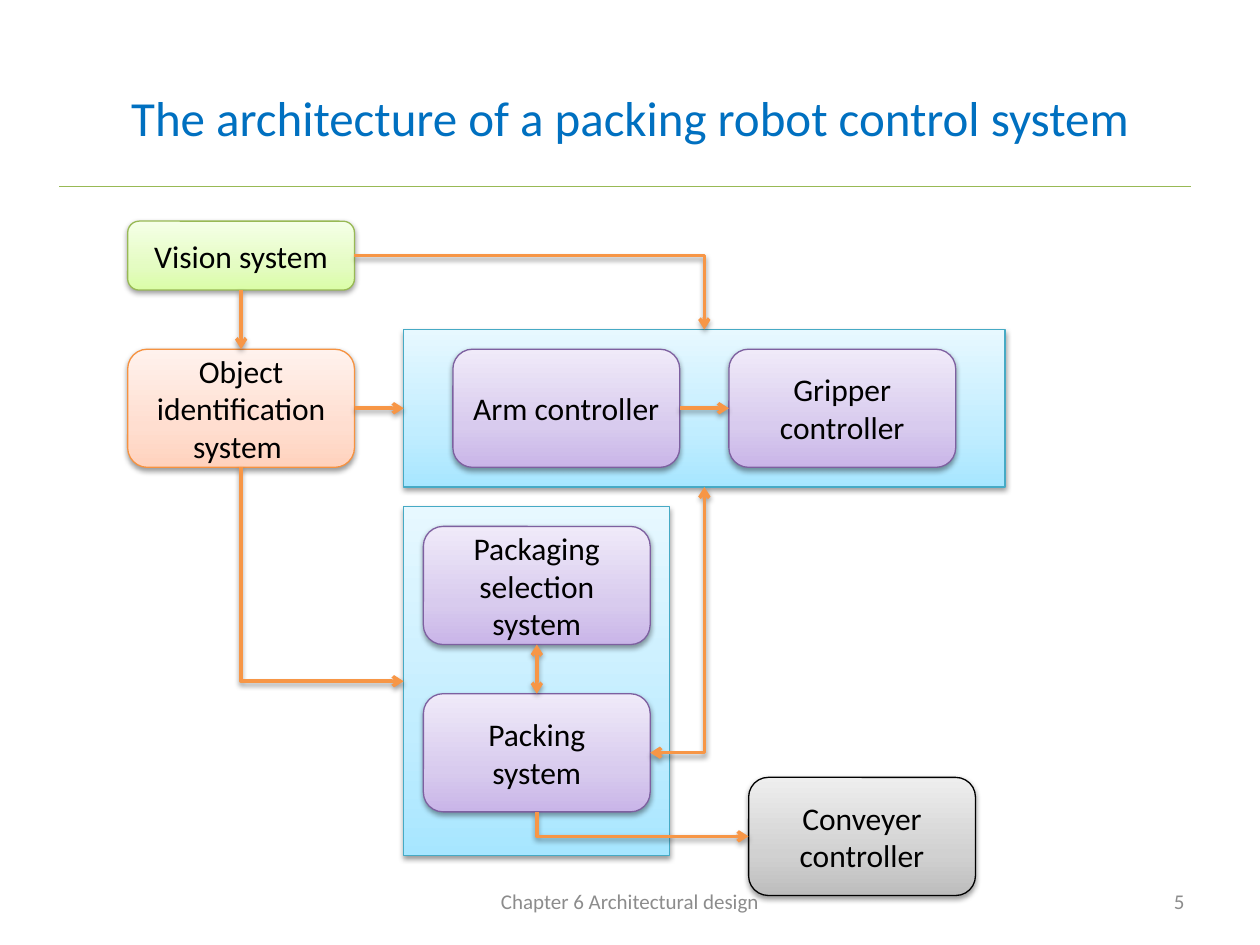
from collections import namedtuple
from copy import deepcopy
from dataclasses import dataclass
from lxml.etree import SubElement
from pptx import Presentation
from pptx.dml.color import RGBColor as Rgb
from pptx.enum.shapes import MSO_CONNECTOR as Link, MSO_SHAPE as Form
from pptx.enum.text import MSO_ANCHOR as Anchor, PP_ALIGN as Align
from pptx.oxml.ns import qn
from pptx.util import Pt

Box = namedtuple("Box", "x y w h")


@dataclass(frozen=True)
class Theme:
    font: str = "Calibri"
    head: int = 28
    body: int = 18
    note: int = 12
    title: str = "0070C0"
    ink: str = "000000"
    grey: str = "8C8C8C"
    rule: str = "98B955"
    link: str = "F79646"
    blue: tuple = ("46AAC5", "A7E6FF", "C1EDFF", "E7F8FF")
    peach: tuple = ("F69240", "FFD2BD", "FFDED0", "FFF2ED")
    plum: tuple = ("7D60A0", "C9B5E8", "D8CBEE", "F0EAF9")
    green: tuple = ("98B955", "DAFDA7", "E4FCC2", "F5FFE7")
    steel: tuple = ("000000", "BDBDBD", "D1D1D1", "EEEEEE")


THEME = Theme()


def write(frame, text, size, color, align=Align.CENTER):
    frame.text = text
    frame.word_wrap = True
    frame.vertical_anchor = Anchor.MIDDLE
    para = frame.paragraphs[0]
    para.alignment = align
    font = para.runs[0].font
    font.name, font.size = THEME.font, Pt(size)
    font.color.rgb = Rgb.from_string(color)


def label(slide, box, *style):
    write(slide.shapes.add_textbox(*map(Pt, box)).text_frame, *style)


def shade(effect):
    shadow = SubElement(effect, qn("a:outerShdw"), blurRad=str(Pt(3.15)),
                        dist=str(Pt(1.57)), dir="5400000", rotWithShape="0")
    color = SubElement(shadow, qn("a:srgbClr"), val=THEME.ink)
    SubElement(color, qn("a:alpha"), val="38000")


def block(slide, form, box, tint, text=""):
    shape = slide.shapes.add_shape(form, *map(Pt, box))
    edge, *tones = tint
    fill = shape.fill
    fill.gradient()
    fill.gradient_angle = 90
    stops = shape.element.spPr.find(".//" + qn("a:gsLst"))
    stops.insert(1, deepcopy(stops[0]))
    for stop, place, tone in zip(fill.gradient_stops, (0, 0.35, 1), tones):
        stop.position = place
        stop.color.rgb = Rgb.from_string(tone)
    shape.line.color.rgb = Rgb.from_string(edge)
    shape.line.width = Pt(0.75)
    shape.shadow.inherit = False
    shade(shape.element.spPr.find(qn("a:effectLst")))
    if text:
        write(shape.text_frame, text, THEME.body, THEME.ink)
    return shape


def stroke(slide, kind, ends, color, width, tips=()):
    line = slide.shapes.add_connector(kind, *ends)
    line.line.color.rgb = Rgb.from_string(color)
    line.line.width = Pt(width)
    props = line.element.spPr
    for tip in tips:
        SubElement(props.find(qn("a:ln")), qn(f"a:{tip}End"), type="arrow")
    effect = SubElement(props, qn("a:effectLst"))
    if tips:
        shade(effect)
    return line


def port(shape, side):
    x = shape.left + shape.width * (1, 0, 1, 2)[side] // 2
    y = shape.top + shape.height * (0, 1, 2, 1)[side] // 2
    return x, y


def join(slide, start, out, end, into, tips=("tail",)):
    ends = port(start, out) + port(end, into)
    line = stroke(slide, Link.STRAIGHT, ends, THEME.link, 2, tips)
    line.begin_connect(start, out)
    line.end_connect(end, into)


def bend(slide, start, out, end, into, tips):
    ends = port(start, out) + port(end, into)
    line = stroke(slide, Link.ELBOW, ends, THEME.link, 2, tips)
    line.element.spPr.find(qn("a:prstGeom")).set("prst", "bentConnector2")


def heading(slide, box):
    ends = [Pt(v) for v in (box.x - 2, box.y + 85, box.x + 644.5, box.y + 85)]
    stroke(slide, Link.STRAIGHT, ends, THEME.rule, 0.75)
    label(slide, box, "The architecture of a packing robot control system",
          THEME.head, THEME.title)


def footer(slide, box):
    mid, end = 228, 168
    label(slide, Box(box.x + (box.w - mid) / 2, box.y, mid, box.h),
          "Chapter 6 Architectural design", THEME.note, THEME.grey)
    label(slide, Box(box.x + box.w - end, box.y, end, box.h),
          "5", THEME.note, THEME.grey, Align.RIGHT)


def diagram(slide, box):
    wide, tall, low = 129.6, 67.5, 39.4
    pad, gap = 11.25, 28.12
    row = box.y + low + 3 * pad
    col = box.x + wide + gap
    deck = Box(col, row - pad, 2 * wide + 3 * gap, tall + 2 * pad)
    bay = Box(col, deck.y + deck.h + pad, wide + 2 * pad, 199.5)
    top = bay.y + pad
    base = top + tall + gap

    def node(x, y, tint, text, high=tall):
        return block(slide, Form.ROUNDED_RECTANGLE,
                     Box(x, y, wide, high), tint, text)

    stack = block(slide, Form.RECTANGLE, bay, THEME.blue)
    arms = block(slide, Form.RECTANGLE, deck, THEME.blue)
    ident = node(box.x, row, THEME.peach, "Object identification system ")
    arm = node(col + gap, row, THEME.plum, "Arm controller")
    grip = node(col + 2 * gap + wide, row, THEME.plum, "Gripper controller")
    sight = node(box.x, box.y, THEME.green, "Vision system", low)
    pack = node(col + pad, base, THEME.plum, "Packing system")
    belt = node(bay.x + bay.w + 4 * pad, base + 47.8, THEME.steel,
                "Conveyer controller")
    pick = node(col + pad, top, THEME.plum, "Packaging selection system")

    both = ("head", "tail")
    bend(slide, sight, 3, arms, 0, ("tail",))
    join(slide, sight, 2, ident, 0)
    join(slide, ident, 3, arms, 1)
    bend(slide, stack, 1, ident, 2, ("head",))
    join(slide, pick, 2, pack, 0, both)
    bend(slide, pack, 3, arms, 2, both)
    bend(slide, belt, 1, pack, 2, ("head",))
    join(slide, arm, 3, grip, 1)


def main():
    deck = Presentation()
    deck.slide_width, deck.slide_height = Pt(720), Pt(540)
    slide = deck.slides.add_slide(deck.slide_layouts[6])
    heading(slide, Box(36, 21.6, 648, 90))
    footer(slide, Box(36, 500.5, 648, 28.75))
    diagram(slide, Box(73, 126.4, 501, 386))
    deck.save("out.pptx")


if __name__ == "__main__":
    main()
